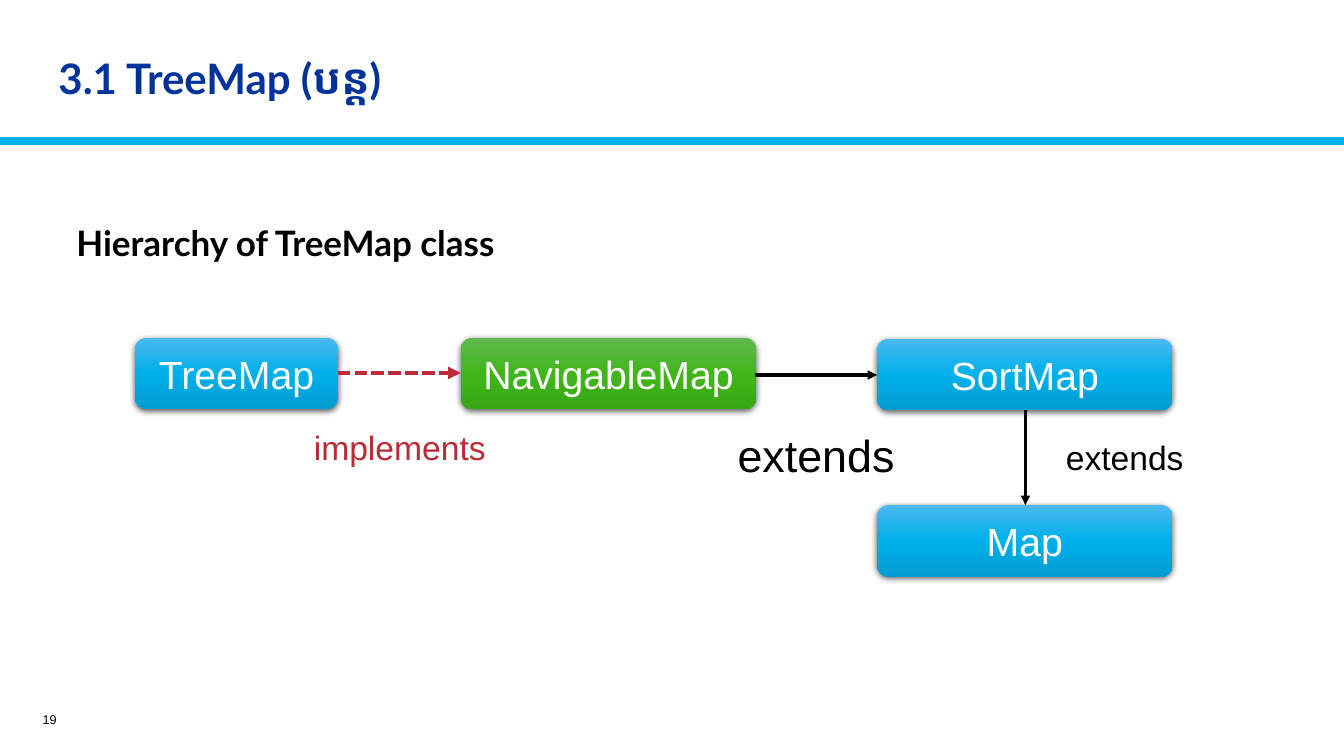
from copy import deepcopy

from lxml.etree import SubElement
from pptx import Presentation
from pptx.dml.color import RGBColor
from pptx.enum.dml import MSO_LINE
from pptx.enum.shapes import MSO_CONNECTOR, MSO_SHAPE
from pptx.enum.text import MSO_ANCHOR, PP_ALIGN
from pptx.oxml.ns import qn
from pptx.util import Inches, Pt

BLACK = RGBColor(0, 0, 0)
WHITE = RGBColor(255, 255, 255)
NAVY = RGBColor(0x00, 0x33, 0x99)
SKY = RGBColor(0x00, 0xB0, 0xEA)
RED = RGBColor(0xBB, 0x2B, 0x35)
BLUES = (RGBColor(0x4B, 0xB9, 0xF0), SKY, RGBColor(0x00, 0x9C, 0xD0))
GREENS = (RGBColor(0x60, 0xB9, 0x4F), RGBColor(0x41, 0xB5, 0x1B),
          RGBColor(0x37, 0xA7, 0x12))

TITLE = "3.1 TreeMap (បន្ត)"
BOX_H = 0.71
BOXES = [
    ("TreeMap", 1.34, 3.35, 2.01, BLUES),
    ("NavigableMap", 4.57, 3.35, 2.93, GREENS),
    ("SortMap", 8.7, 3.36, 2.93, BLUES),
    ("Map", 8.7, 5.01, 2.93, BLUES),
]
ARROWS = [
    (3.35, 3.7, 4.57, 3.7, RED, 3, MSO_LINE.SQUARE_DOT),
    (7.49, 3.72, 8.7, 3.72, BLACK, 2.25, None),
    (10.17, 4.07, 10.17, 5.01, BLACK, 2.25, None),
]
TEXTS = [
    ("Hierarchy of TreeMap class", 0.66, 1.94, 12.05, 4.72, "Lato", 25, True, BLACK, PP_ALIGN.JUSTIFY, 1.5),
    ("implements", 2.98, 4.19, 1.97, 0.5, "Arial", 24, False, RED, PP_ALIGN.CENTER, 1),
    ("extends", 7.11, 4.19, 1.97, 0.64, "Arial", 32, False, BLACK, PP_ALIGN.CENTER, 1),
    ("extends", 10.17, 4.29, 1.97, 0.5, "Arial", 24, False, BLACK, PP_ALIGN.CENTER, 1),
    ("19", 0.09, 6.99, 0.57, 0.3, "Arial", 9, False, BLACK, PP_ALIGN.RIGHT, 1),
]


def write(tf, text, font, size, color, align, bold=False, spacing=1):
    """Put one formatted paragraph into a text frame."""
    tf.word_wrap = True
    p = tf.paragraphs[0]
    p.text = text
    p.alignment = align
    p.line_spacing = spacing
    p.font.name = font
    p.font.size = Pt(size)
    p.font.bold = bold
    p.font.color.rgb = color


def add_line(slide, x1, y1, x2, y2, color, width):
    """Draw a straight line without a shadow."""
    line = slide.shapes.add_connector(
        MSO_CONNECTOR.STRAIGHT, *map(Inches, (x1, y1, x2, y2)))
    line.line.color.rgb = color
    line.line.width = Pt(width)
    SubElement(line._element.spPr, qn("a:effectLst"))
    return line


def add_arrow(slide, x1, y1, x2, y2, color, width, dash):
    """Draw a line with a triangular head at its end."""
    line = add_line(slide, x1, y1, x2, y2, color, width).line
    if dash:
        line.dash_style = dash
    SubElement(line._get_or_add_ln(), qn("a:tailEnd"), type="triangle")


def add_box(slide, name, x, y, w, colors):
    """Draw a rounded class box with a vertical gradient and soft shadow."""
    sp = slide.shapes.add_shape(
        MSO_SHAPE.ROUNDED_RECTANGLE, *map(Inches, (x, y, w, BOX_H)))
    sp.fill.gradient()
    sp.fill.gradient_angle = 270
    spPr = sp._element.spPr
    stops = spPr.find(".//" + qn("a:gsLst"))
    stops.append(deepcopy(stops[-1]))
    for i, (stop, color) in enumerate(zip(sp.fill.gradient_stops, colors)):
        stop.position = i / 2
        stop.color.rgb = color
    sp.line.fill.background()
    sp.shadow.inherit = False
    shadow = SubElement(
        spPr.find(qn("a:effectLst")), qn("a:outerShdw"), blurRad=str(Pt(4.5)),
        dist=str(Pt(1.5)), dir="5400000", rotWithShape="0")
    tint = SubElement(shadow, qn("a:srgbClr"), val="000000")
    SubElement(tint, qn("a:alpha"), val="63000")
    sp.text_frame.vertical_anchor = MSO_ANCHOR.MIDDLE
    write(sp.text_frame, name, "Arial", 28, WHITE, PP_ALIGN.CENTER)


def main():
    """Build the TreeMap hierarchy slide."""
    prs = Presentation()
    prs.slide_width, prs.slide_height = Inches(13.33), Inches(7.5)
    s = prs.slides.add_slide(prs.slide_layouts[5])

    title = s.shapes.title
    title.left, title.top, title.width, title.height = map(
        Inches, (0.48, 0.39, 9.02, 0.83))
    title.text_frame.vertical_anchor = MSO_ANCHOR.MIDDLE
    write(title.text_frame, TITLE, "Lato", 30, NAVY, PP_ALIGN.LEFT, True, 0.9)

    add_line(s, 0, 1.4, 13.33, 1.4, SKY, 6)
    for box in BOXES:
        add_box(s, *box)
    for arrow in ARROWS:
        add_arrow(s, *arrow)
    for text, x, y, w, h, font, size, bold, color, align, spacing in TEXTS:
        tf = s.shapes.add_textbox(*map(Inches, (x, y, w, h))).text_frame
        if text == "19":
            tf.vertical_anchor = MSO_ANCHOR.MIDDLE
        write(tf, text, font, size, color, align, bold, spacing)

    prs.save("out.pptx")


if __name__ == "__main__":
    main()
